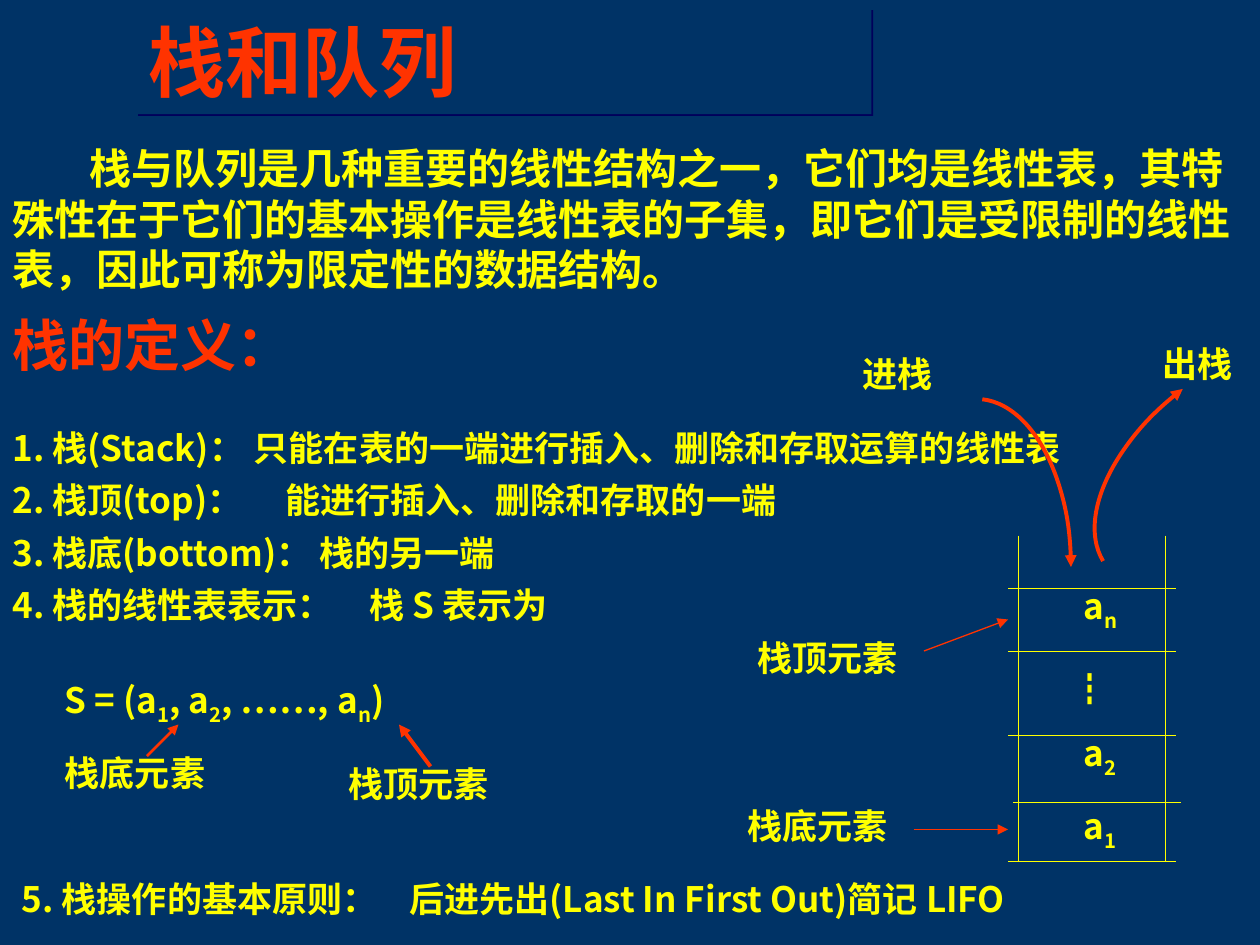
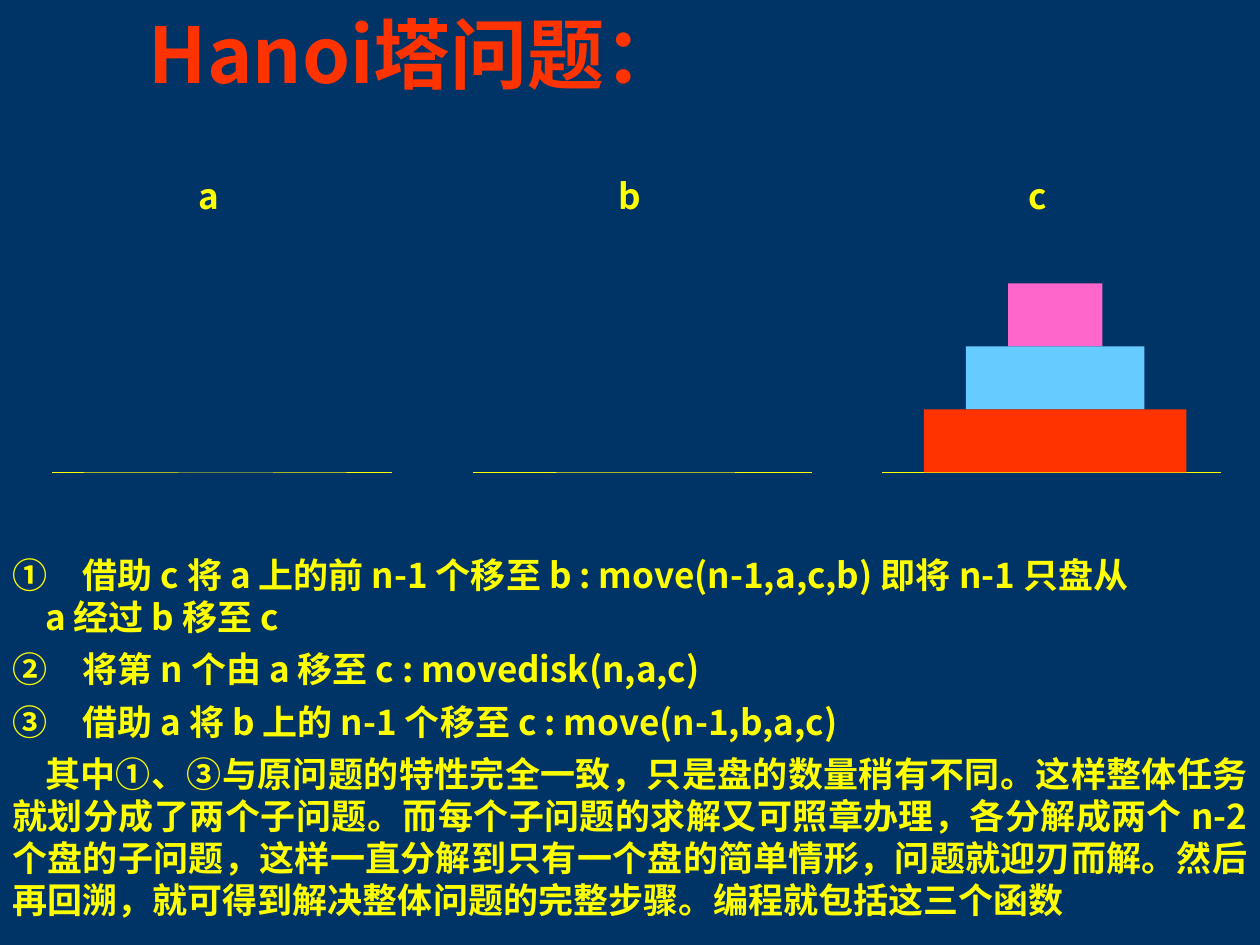
from lxml import etree
from pptx import Presentation, util as u
from pptx.dml.color import RGBColor
from pptx.enum import shapes, text
from pptx.oxml import ns

# Shared look: a grid of 120 columns by 90 rows
NAVY, SHADOW, RED, YELLOW = "003366", "00005B", "FF3300", "FFFF00"
BLUE, PINK = "66CCFF", "FF66CC"
SANS, SERIF = "Noto Sans CJK SC", "Times New Roman"
TITLE_SIZE, HEADING_SIZE, BODY_SIZE = 44, 32, 20
color = RGBColor.from_string

presentation = Presentation()
presentation.slide_width, presentation.slide_height = u.Inches(10), u.Inches(7.5)
CELL = presentation.slide_width / 120


def add_text(slide, column, row, columns, content, size=BODY_SIZE, ink=YELLOW,
             font=SANS, bold=True, indent=0, align=text.PP_ALIGN.JUSTIFY):
    """Text between underscores becomes a subscript."""
    line_height = 1.2 * size
    shape = slide.shapes.add_textbox(
        *(int(n * CELL) for n in (column, row, columns)), u.Pt(line_height + 7.2))
    frame = shape.text_frame
    frame.word_wrap = True
    paragraph = frame.paragraphs[0]
    paragraph.alignment = align
    paragraph.line_spacing = u.Pt(line_height)
    if indent:
        paragraph._p.get_or_add_pPr().set("indent", str(u.Inches(indent)))
    for index, part in enumerate(content.split("_")):
        run = paragraph.add_run()
        run.text = part
        run.font.size, run.font.bold, run.font.name = u.Pt(size), bold, font
        run.font.color.rgb = color(ink)
        properties = run._r.get_or_add_rPr()
        etree.SubElement(properties, ns.qn("a:ea"), typeface=SANS)
        if index % 2:
            properties.set("baseline", "-25000")
    return shape


def style_line(shape, ink, weight, arrow=False):
    shape.line.color.rgb = color(ink)
    shape.line.width = u.Pt(weight)
    if arrow:
        etree.SubElement(shape.line._get_or_add_ln(), ns.qn("a:tailEnd"), type="triangle")
    etree.SubElement(shape._element.spPr, ns.qn("a:effectLst"))


slides = []
for _ in range(2):
    slide = presentation.slides.add_slide(presentation.slide_layouts[6])
    slide.background.fill.solid()
    slide.background.fill.fore_color.rgb = color(NAVY)
    slides.append(slide)
stack_slide, hanoi_slide = slides

# Stack slide: title with a hard shadow
title = add_text(stack_slide, 13, 0.8, 70, "栈和队列", TITLE_SIZE, RED,
                 align=text.PP_ALIGN.LEFT)
title.height = u.Inches(0.84)
title.fill.solid()
title.fill.fore_color.rgb = color(NAVY)
title.shadow.inherit = False
effects = title._element.spPr.find(ns.qn("a:effectLst"))
shadow = etree.SubElement(effects, ns.qn("a:outerShdw"), dist=str(u.Pt(1.4)),
                          dir="2700000", algn="ctr", rotWithShape="0")
etree.SubElement(shadow, ns.qn("a:srgbClr"), val=SHADOW)

# Introduction and heading
add_text(stack_slide, 0, 13, 120,
         "栈与队列是几种重要的线性结构之一，它们均是线性表，其特殊性在于它们的基本操作是"
         "线性表的子集，即它们是受限制的线性表，因此可称为限定性的数据结构。",
         24, font=SERIF, indent=0.61, align=text.PP_ALIGN.LEFT)
add_text(stack_slide, 0, 29, 31, "栈的定义：", HEADING_SIZE, RED)

# Definitions, formula and labels: column, row, columns, wording
for column, row, columns, wording in (
    (0, 40, 27, "1. 栈(Stack)："),
    (23, 40, 80, "只能在表的一端进行插入、删除和存取运算的线性表"),
    (0, 45, 27, "2. 栈顶(top)："),
    (26, 45, 51, "能进行插入、删除和存取的一端"),
    (0, 50, 51, "3. 栈底(bottom)： 栈的另一端"),
    (0, 55, 35, "4. 栈的线性表表示："),
    (34, 55, 22, "栈 S 表示为"),
    (5, 64.6, 46, "S = (a_1_, a_2_, ……, a_n_)"),
    (5, 71, 20, "栈底元素"),
    (32, 72, 19, "栈顶元素"),
    (70, 76, 19, "栈底元素"),
    (71, 60, 19, "栈顶元素"),
    (81, 33, 12, "进栈"),
    (109.5, 32, 10.5, "出栈"),
    (0.9, 83, 38, "5. 栈操作的基本原则："),
    (37.8, 83, 65, "后进先出(Last In First Out)简记 LIFO"),
    (102, 55.6, 7, "a_n_"),
    (102, 69.6, 7, "a_2_"),
    (102, 76.6, 7, "a_1_"),
):
    add_text(stack_slide, column, row, columns, wording)
add_text(stack_slide, 101, 63, 6, "┇", bold=False)

# Stack frame and pointer arrows: ends, colour, weight
walls = [((x, 51, x, 82), YELLOW, 0.75) for x in (97, 111)]
shelves = [((96, y, 112, y), YELLOW, 0.75) for y in (56.04, 62.04, 70.04, 82.04)]
shelves.append(((96.5, 76.4, 112.5, 76.4), YELLOW, 0.75))
pointers = [((14, 72, 17, 69), RED, 1.5), ((41, 73, 38, 69), RED, 2.25),
            ((87, 79, 96, 79), RED, 0.75), ((88, 62, 96, 59), RED, 0.75)]
for ends, ink, weight in walls + shelves + pointers:
    connector = stack_slide.shapes.add_connector(
        shapes.MSO_CONNECTOR.STRAIGHT, *(int(n * CELL) for n in ends))
    style_line(connector, ink, weight, arrow=ink == RED)

# Curved push and pop arrows: the same arc, turned
for column, row, turn in ((84, 38, 0), (109.1, 28.2, 232.7)):
    arc = stack_slide.shapes.add_shape(
        shapes.MSO_SHAPE.ARC, *(int(n * CELL) for n in (column, row, 18, 32)))
    arc.adjustments[0] = 272 * 0.6
    arc.adjustments[1] = 0
    arc.rotation = turn
    arc.fill.background()
    style_line(arc, RED, 2.25, arrow=True)

# Hanoi slide: title
add_text(hanoi_slide, 13, 0, 91, "Hanoi塔问题：", TITLE_SIZE, RED)

# Pegs: label, label column, base column
for label, label_column, base_column in (("a", 17, 5), ("b", 57, 45), ("c", 96.1, 84)):
    base = hanoi_slide.shapes.add_connector(
        shapes.MSO_CONNECTOR.STRAIGHT,
        *(int(n * CELL) for n in (base_column, 45, base_column + 32.3, 45)))
    style_line(base, YELLOW, 0.75)
    add_text(hanoi_slide, label_column, 16, 8, label, indent=0.06,
             align=text.PP_ALIGN.LEFT)

# Cleared places that trim the bases of a and b, then the disks on c
cleared = [((8, 39, 25, 6), NAVY), ((53, 39, 17, 6), NAVY), ((17, 39, 9, 6), NAVY)]
tower = [((96 - 4 * level, 27 + 6 * level, 9 + 8 * level, 6), ink)
         for level, ink in enumerate((PINK, BLUE, RED))]
for place, ink in cleared + tower:
    disk = hanoi_slide.shapes.add_shape(
        shapes.MSO_SHAPE.RECTANGLE, *(int(n * CELL) for n in place))
    disk.fill.solid()
    disk.fill.fore_color.rgb = color(ink)
    disk.line.fill.background()
    disk.shadow.inherit = False

# Steps and conclusion: row, first-line indent, wording
for row, indent, wording in (
    (52.1, 0, "①　借助 c 将 a 上的前 n-1 个移至 b : move(n-1,a,c,b) 即将 n-1 只盘从"),
    (56.1, 0.26, "a 经过 b 移至 c"),
    (61.1, 0, "②　将第 n 个由 a 移至 c : movedisk(n,a,c)"),
    (66.1, 0, "③　借助 a 将 b 上的 n-1 个移至 c : move(n-1,b,a,c)"),
    (71.1, 0.26, "其中①、③与原问题的特性完全一致，只是盘的数量稍有不同。这样整体任务就划分成了"
                 "两个子问题。而每个子问题的求解又可照章办理，各分解成两个 n-2 个盘的子问题，"
                 "这样一直分解到只有一个盘的简单情形，问题就迎刃而解。然后再回溯，"
                 "就可得到解决整体问题的完整步骤。编程就包括这三个函数"),
):
    add_text(hanoi_slide, 0, row, 120, wording, indent=indent)

presentation.save("out.pptx")
